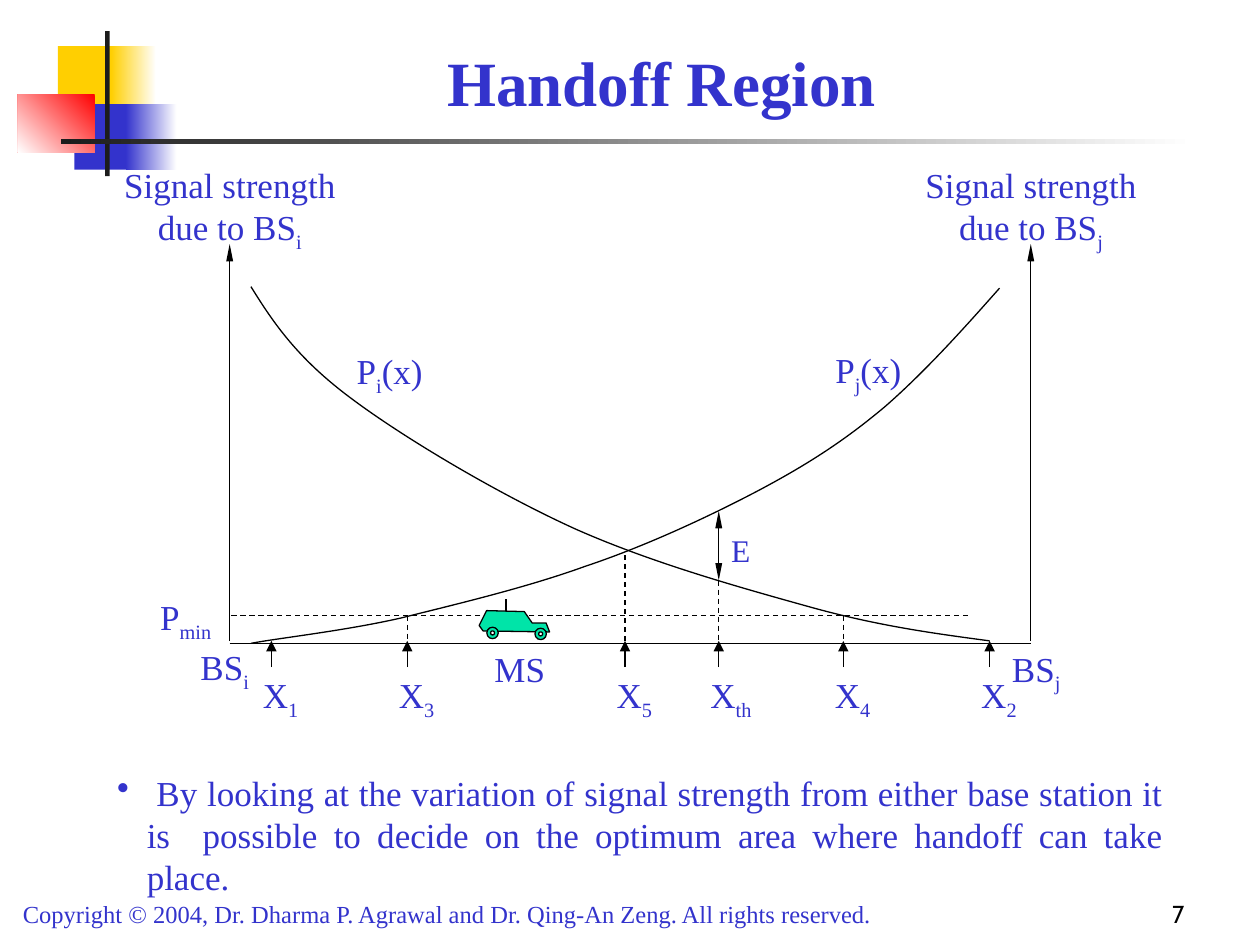
from collections import namedtuple

from lxml.etree import SubElement
from pptx import Presentation
from pptx.dml.color import RGBColor
from pptx.enum.dml import MSO_LINE_DASH_STYLE as Dash
from pptx.enum.shapes import MSO_CONNECTOR as Connector, MSO_SHAPE as Shape
from pptx.enum.text import MSO_ANCHOR as Anchor, MSO_AUTO_SIZE as AutoSize, PP_ALIGN as Align
from pptx.oxml.ns import qn
from pptx.util import Cm, Pt

Box = namedtuple("Box", "left top width height")

COLORS = {
    "blue": "3333CC", "yellow": "FFCF01", "red": "FF0000", "dark": "1C1C1C",
    "white": "FFFFFF", "black": "000000", "car": "00E4A8",
}
SERIF = "Times New Roman"

# Bézier control points in cm from the plot's top left corner
CURVE_I = [
    (0.43, 0.86), (0.89, 1.6), (1.37, 2.31), (2.46, 3.12), (3.56, 3.94), (5.44, 5.05),
    (6.96, 5.74), (8.51, 6.43), (10.31, 6.93), (11.71, 7.32), (13.08, 7.7), (14.2, 7.85),
    (15.32, 8.0),
]
CURVE_J = [
    (15.52, 0.89), (14.76, 1.75), (14.0, 2.59), (13.21, 3.28), (12.4, 3.96), (11.66, 4.44),
    (10.64, 4.98), (9.63, 5.51), (8.36, 6.1), (7.16, 6.5), (5.97, 6.93), (4.57, 7.26),
    (3.45, 7.54), (2.31, 7.8), (0.94, 7.95), (0.43, 8.05),
]
# Position along the x axis and width of the label
MARKS = {
    "1": (0.84, 1.24), "3": (3.58, 1.24), "5": (7.97, 1.24),
    "th": (9.86, 1.68), "4": (12.37, 1.24), "2": (15.32, 1.24),
}


def color(name):
    return RGBColor.from_string(COLORS[name])


def inside(box, left, top, width, height):
    return Box(box.left + left, box.top + top, width, height)


def lengths(box):
    return [Cm(value) for value in box]


def write(frame, *parts, size=20, font=SERIF, tint="blue", bold=False,
          align=Align.LEFT, anchor=Anchor.TOP, bullet=None):
    """Fill a text frame; every second part is a subscript."""
    frame.word_wrap = True
    frame.auto_size = AutoSize.NONE
    frame.vertical_anchor = anchor
    para = frame.paragraphs[0]
    para.alignment = align
    if bullet:
        props = para._p.get_or_add_pPr()
        props.set("marL", str(Cm(0.6)))
        props.set("indent", str(-Cm(0.6)))
        SubElement(props, qn("a:buChar"), char=bullet)
    for index, part in enumerate(parts):
        span = para.add_run()
        span.text = part
        span.font.size = Pt(size)
        span.font.name = font
        span.font.bold = bold
        span.font.color.rgb = color(tint)
        if index % 2:
            span._r.get_or_add_rPr().set("baseline", "-25000")


def add_text(page, box, *parts, **style):
    write(page.shapes.add_textbox(*lengths(box)).text_frame, *parts, **style)


def style_shape(shape, fill=None, outlined=True):
    shape.shadow.inherit = False
    if fill:
        shape.fill.solid()
        shape.fill.fore_color.rgb = color(fill)
    else:
        shape.fill.background()
    if outlined:
        shape.line.color.rgb = color("black")
        shape.line.width = Pt(0.75)
    else:
        shape.line.fill.background()


def add_line(shapes, box, start, end, dashed=False, heads=(), slim=False):
    """Draw a line between two points of the box; heads lists headEnd and tailEnd."""
    points = [Cm(origin + value) for point in (start, end)
              for origin, value in zip(box, point)]
    line = shapes.add_connector(Connector.STRAIGHT, *points)
    line.line.color.rgb = color("black")
    line.line.width = Pt(0.75)
    if dashed:
        line.line.dash_style = Dash.DASH
    width, length = ("sm", "lg") if slim else ("med", "med")
    for head in heads:
        SubElement(line.line._get_or_add_ln(), qn("a:" + head),
                   type="triangle", w=width, len=length)
    SubElement(line._element.spPr, qn("a:effectLst"))


def add_outline(shapes, box, points, fill=None):
    points = [(Cm(box.left + x), Cm(box.top + y)) for x, y in points]
    builder = shapes.build_freeform(*points[0])
    builder.add_line_segments(points[1:], close=bool(fill))
    outline = builder.convert_to_shape()
    style_shape(outline, fill)
    return outline


def add_curve(shapes, box, controls):
    """Draw straight segments, then join each three into one cubic Bézier."""
    curve = add_outline(shapes, box, controls)
    segments = list(curve._element.iter(qn("a:lnTo")))
    for first in range(0, len(segments), 3):
        bezier = SubElement(segments[first].getparent(), qn("a:cubicBezTo"))
        for segment in segments[first:first + 3]:
            bezier.append(segment[0])
            segment.getparent().remove(segment)


def add_block(page, box, start, end=None, angle=0):
    block = page.shapes.add_shape(Shape.RECTANGLE, *lengths(box))
    style_shape(block, start, outlined=False)
    if end:
        block.fill.gradient()
        block.fill.gradient_angle = angle
        for stop, name in zip(block.fill.gradient_stops, (start, end)):
            stop.color.rgb = color(name)


def draw_ornament(page, box):
    add_block(page, inside(box, 0.81, 0.3, 1.22, 1.32), "yellow")
    add_block(page, inside(box, 1.88, 0.3, 0.91, 1.32), "yellow", "white")
    add_block(page, inside(box, 1.14, 1.47, 1.17, 1.32), "blue")
    add_block(page, inside(box, 2.18, 1.47, 1.02, 1.32), "blue", "white")
    add_block(page, inside(box, 0, 1.27, 1.55, 1.17), "red", "white", angle=225)
    add_block(page, inside(box, 1.76, 0, 0.09, 2.92), "dark")
    add_block(page, inside(box, 0.87, 2.18, 22.86, 0.09), "dark", "white")


def draw_car(page, box):
    shapes = page.shapes.add_group_shape().shapes
    body = [(0, 0.53), (0.15, 0.23), (0.91, 0.25), (1.07, 0.48),
            (1.35, 0.48), (1.42, 0.66), (0.08, 0.64)]
    add_outline(shapes, box, body, "car")
    for x, y in ((0.27, 0.68), (1.24, 0.7)):
        for size, fill in ((0.23, "car"), (0.08, "white")):
            part = inside(box, x - size / 2, y - size / 2, size, size)
            style_shape(shapes.add_shape(Shape.OVAL, *lengths(part)), fill)
    add_line(shapes, box, (0.54, 0.23), (0.54, 0))


def draw_plot(page, box):
    shapes, base, floor = page.shapes, box.height, 7.49
    add_line(shapes, box, (0, base), (box.width, base))
    for x, name in ((0, "i"), (box.width, "j")):
        add_line(shapes, box, (x, base - 0.05), (x, 0), heads=["tailEnd"], slim=True)
        add_text(page, inside(box, x - 2.51, -1.75, 5.03, 2.08),
                 "Signal strength due to BS", name, align=Align.CENTER)
    for controls in (CURVE_I, CURVE_J):
        add_curve(shapes, box, controls)

    add_line(shapes, box, (14.88, floor), (0, floor), dashed=True)
    drops = {"3": floor, "5": 6.27, "th": 6.6, "4": floor}
    for name, (x, width) in MARKS.items():
        if name in drops:
            add_line(shapes, box, (x, drops[name]), (x, base - 0.05), dashed=True)
        add_line(shapes, box, (x, 8.53), (x, base - 0.05), heads=["tailEnd"])
        add_text(page, inside(box, x - 0.42, 8.53, width, 1.22), "X", name)
    gap = MARKS["th"][0]
    add_line(shapes, box, (gap, 6.78), (gap, 5.38), heads=["headEnd", "tailEnd"], slim=True)
    add_text(page, inside(box, gap, 5.66, 0.84, 1.02), "E", size=18)

    draw_car(page, inside(box, 5.03, 7.16, 1.42, 0.8))
    add_text(page, inside(box, 4.9, 8.0, 1.9, 1.12), "MS", align=Align.CENTER)
    add_text(page, inside(box, -1.04, 7.97, 1.68, 1.22), "BS", "i", align=Align.RIGHT)
    add_text(page, inside(box, 15.52, 8.0, 1.68, 1.22), "BS", "j")
    add_text(page, inside(box, -1.65, 6.96, 1.88, 1.22), "P", "min")
    add_text(page, inside(box, 2.31, 2.01, 1.88, 1.22), "P", "i", "(x)")
    add_text(page, inside(box, 11.96, 1.98, 1.88, 1.22), "P", "j", "(x)")


def place_title(page, box):
    title = page.shapes.title
    title.left, title.top, title.width, title.height = lengths(box)
    write(title.text_frame, "Handoff Region", size=36, bold=True,
          align=Align.CENTER, anchor=Anchor.BOTTOM)


def place_footer(page, box):
    add_text(page, inside(box, 0, 0.41, 19.25, 0.86),
             "Copyright © 2004, Dr. Dharma P. Agrawal and Dr. Qing-An Zeng. All rights reserved.",
             size=14)
    add_text(page, inside(box, box.width - 5.28, 0, 5.28, 1.27), "7", size=14,
             font="Cabin", tint="black", align=Align.RIGHT, anchor=Anchor.BOTTOM)


def main():
    deck = Presentation()
    deck.slide_width, deck.slide_height = Cm(25.4), Cm(19.05)
    page = deck.slides.add_slide(deck.slide_layouts[5])
    draw_ornament(page, Box(0.36, 0.63, 23.72, 2.92))
    place_title(page, Box(2.54, 0.41, 21.59, 2.11))
    draw_plot(page, Box(4.63, 4.92, 16.15, 8.05))
    add_text(page, Box(2.11, 15.42, 21.59, 1.96),
             " By looking at the variation of signal strength from either base station it "
             "is  possible to decide on the optimum area where handoff can take place.",
             align=Align.JUSTIFY, bullet="•")
    place_footer(page, Box(0.21, 17.58, 23.92, 1.27))
    deck.save("out.pptx")


if __name__ == "__main__":
    main()
